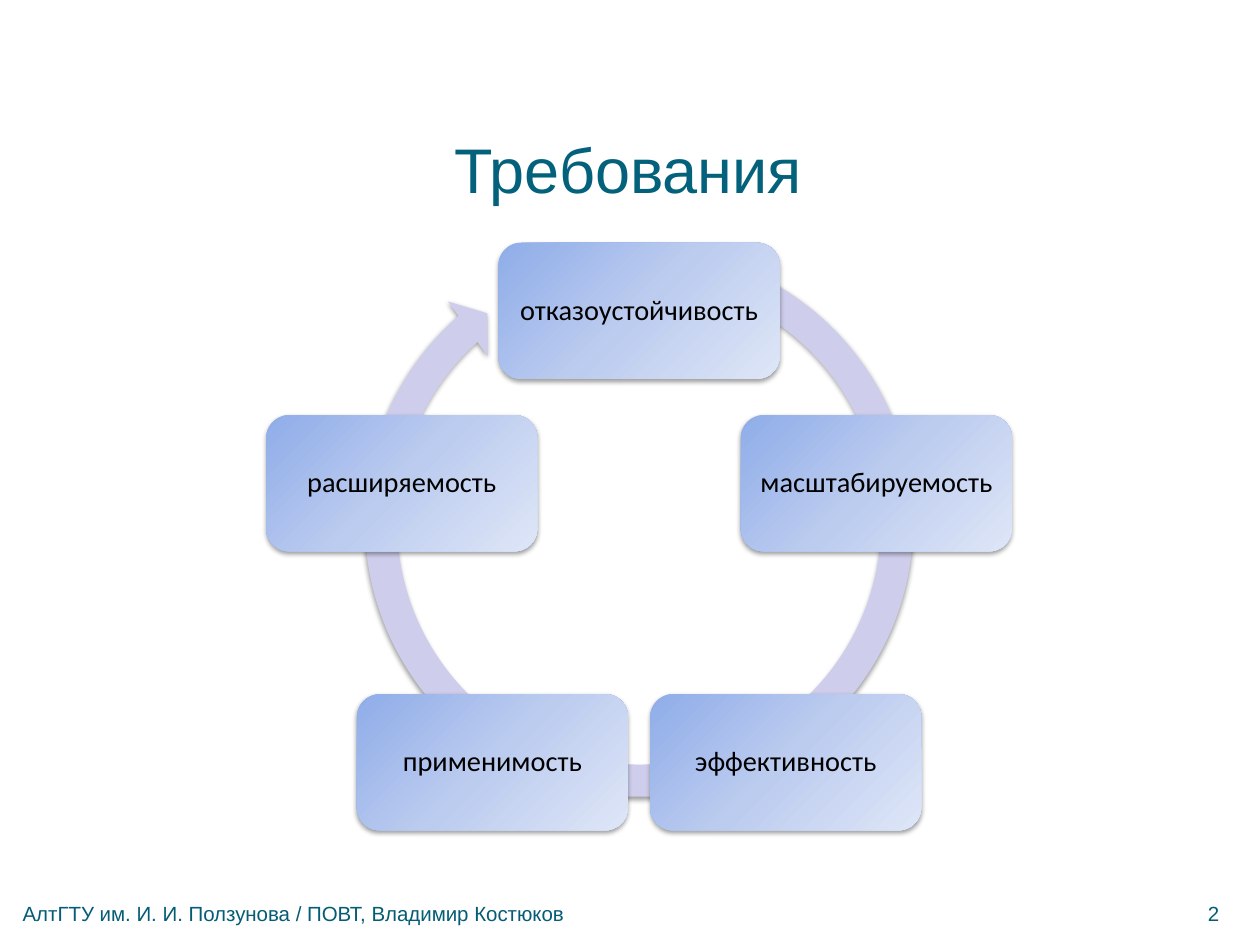
from copy import deepcopy
from dataclasses import dataclass
from math import cos, radians, sin

from lxml.etree import SubElement
from pptx import Presentation
from pptx.dml.color import RGBColor
from pptx.enum.shapes import MSO_SHAPE
from pptx.enum.text import MSO_ANCHOR, PP_ALIGN
from pptx.oxml.ns import qn

PX = 9144
REQUIREMENTS = ["отказоустойчивость", "масштабируемость", "эффективность",
                "применимость", "расширяемость"]


@dataclass(frozen=True)
class Theme:
    """Colours, fonts and type sizes of the slide."""
    title: str = "04617B"
    footer: str = "045C75"
    node_text: str = "000000"
    ring: str = "CECEEC"
    node_stops: tuple = ((0, "8FADE9"), (0.5, "BCCCEF"), (1, "DEE6F7"))
    shadow: str = "000000"
    heading_font: str = "Arial"
    node_font: str = "Calibri"
    title_size: int = 40
    node_size: int = 18
    footer_size: int = 13


THEME = Theme()


def emu(*lengths):
    """Turn px lengths into EMU."""
    return [round(n * PX) for n in lengths]


def set_text(sp, text, font, size, color, align, anchor, spacing, inset=0):
    """Write one formatted paragraph into a shape."""
    tf = sp.text_frame
    tf.word_wrap = True
    tf.vertical_anchor = anchor
    tf.margin_left = tf.margin_right = tf.margin_top = tf.margin_bottom = inset * PX
    tf.text = text
    p = tf.paragraphs[0]
    p.alignment, p.line_spacing = align, spacing
    f = p.runs[0].font
    f.name, f.size = font, size * 12700
    f.color.rgb = RGBColor.from_string(color)


def add_label(s, box, text, size, color, align=PP_ALIGN.LEFT):
    """Add a bottom-anchored text box."""
    sp = s.shapes.add_textbox(*emu(*box))
    set_text(sp, text, THEME.heading_font, size, color, align, MSO_ANCHOR.BOTTOM, 0.95)


def add_shadowed(s, kind, box):
    """Add a preset shape with no outline and a soft shadow below it."""
    sp = s.shapes.add_shape(kind, *emu(*box))
    sp.line.fill.background()
    sp.shadow.inherit = False
    effects = sp._element.spPr.find(qn("a:effectLst"))
    outer = SubElement(effects, qn("a:outerShdw"), blurRad="40000", dist="20000",
                       dir="5400000", rotWithShape="0")
    color = SubElement(outer, qn("a:srgbClr"), val=THEME.shadow)
    SubElement(color, qn("a:alpha"), val="38000")
    return sp


def add_ring(s, box):
    """Draw the circular arrow behind the requirements."""
    sp = add_shadowed(s, MSO_SHAPE.CIRCULAR_ARROW, box)
    sp.fill.solid()
    sp.fill.fore_color.rgb = RGBColor.from_string(THEME.ring)
    for i, value in enumerate((0.055, 3.307, 137.109, 174.256, 0.058)):
        sp.adjustments[i] = value


def add_node(s, box, text):
    """Draw one requirement as a rounded box with a diagonal gradient."""
    sp = add_shadowed(s, MSO_SHAPE.ROUNDED_RECTANGLE, box)
    sp.fill.gradient()
    sp.fill.gradient_angle = 315
    stops = sp._element.spPr.find(".//" + qn("a:gsLst"))
    stops.insert(1, deepcopy(stops[0]))
    for stop, (position, color) in zip(sp.fill.gradient_stops, THEME.node_stops):
        stop.position = position
        stop.color.rgb = RGBColor.from_string(color)
    set_text(sp, text, THEME.node_font, THEME.node_size, THEME.node_text,
             PP_ALIGN.CENTER, MSO_ANCHOR.MIDDLE, 0.9, inset=4)


def add_cycle(s, box):
    """Place the ring and spread the requirements evenly around it."""
    x, y, w, h = box
    ring, radius, node_h = 515, 220, 120
    cx, cy = x + w / 2, y + node_h / 2 + radius
    add_ring(s, (cx - ring / 2, y - 11, ring, ring))
    for i, text in enumerate(REQUIREMENTS):
        angle = radians(360 * i / len(REQUIREMENTS) - 90)
        node_w = 239 if i else 248
        add_node(s, (cx + radius * cos(angle) - node_w / 2,
                     cy + radius * sin(angle) - node_h / 2, node_w, node_h), text)


def add_footer(s, box):
    """Place the author line at the left and the page number at the right."""
    x, y, w, h = box
    number_w = 34
    add_label(s, (x, y, 644, h), "АлтГТУ им. И. И. Ползунова / ПОВТ, Владимир Костюков",
              THEME.footer_size, THEME.footer)
    add_label(s, (x + w - number_w, y, number_w, h), "2", THEME.footer_size, THEME.footer)


def main():
    """Build and save the slide."""
    prs = Presentation()
    prs.slide_width, prs.slide_height = emu(1111, 833)
    s = prs.slides.add_slide(prs.slide_layouts[6])
    add_footer(s, (20, 795, 1079, 21))
    add_label(s, (48, 109, 1012, 74), "Требования", THEME.title_size, THEME.title,
              PP_ALIGN.CENTER)
    add_cycle(s, (235, 214, 657, 518))
    prs.save("out.pptx")


if __name__ == "__main__":
    main()
